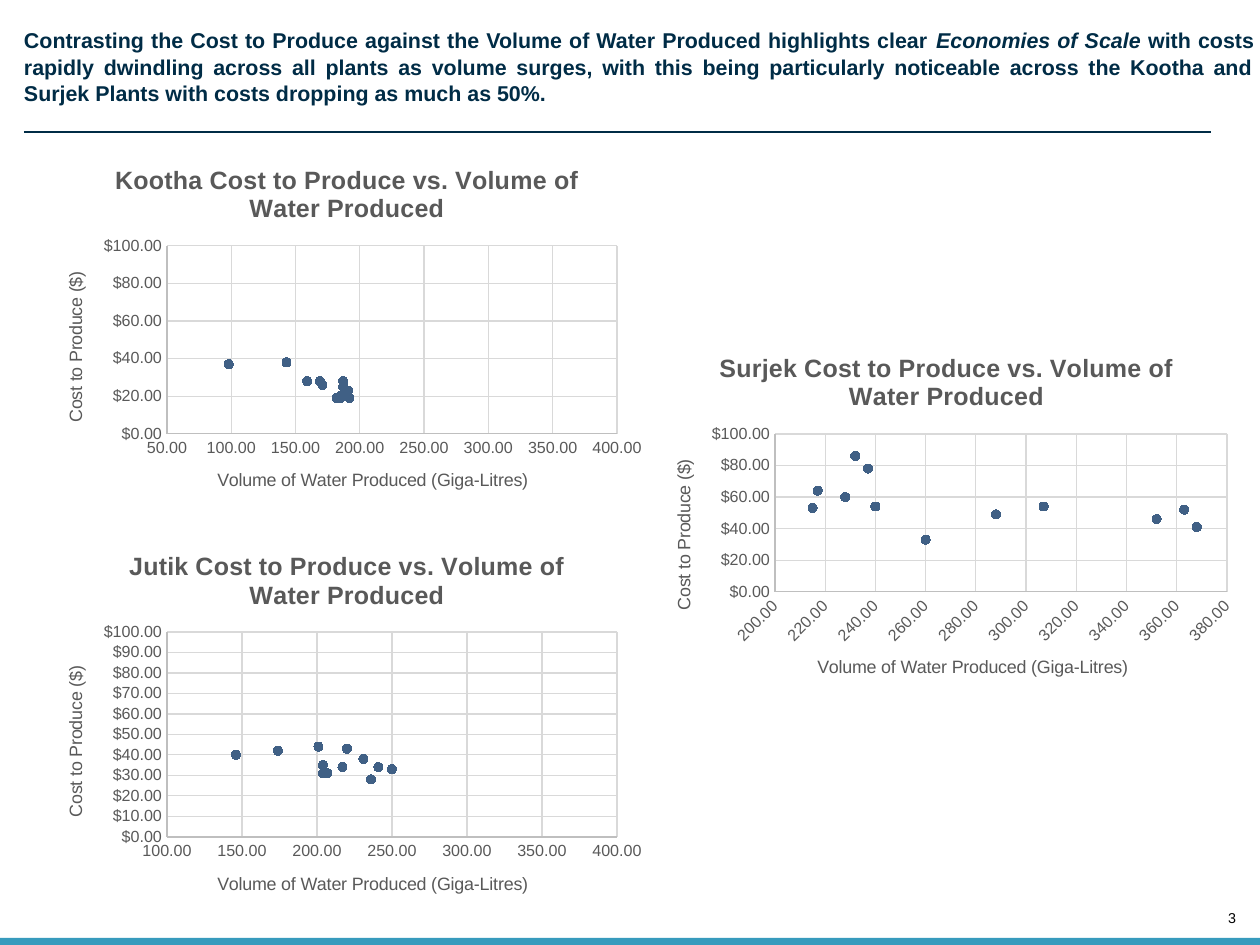
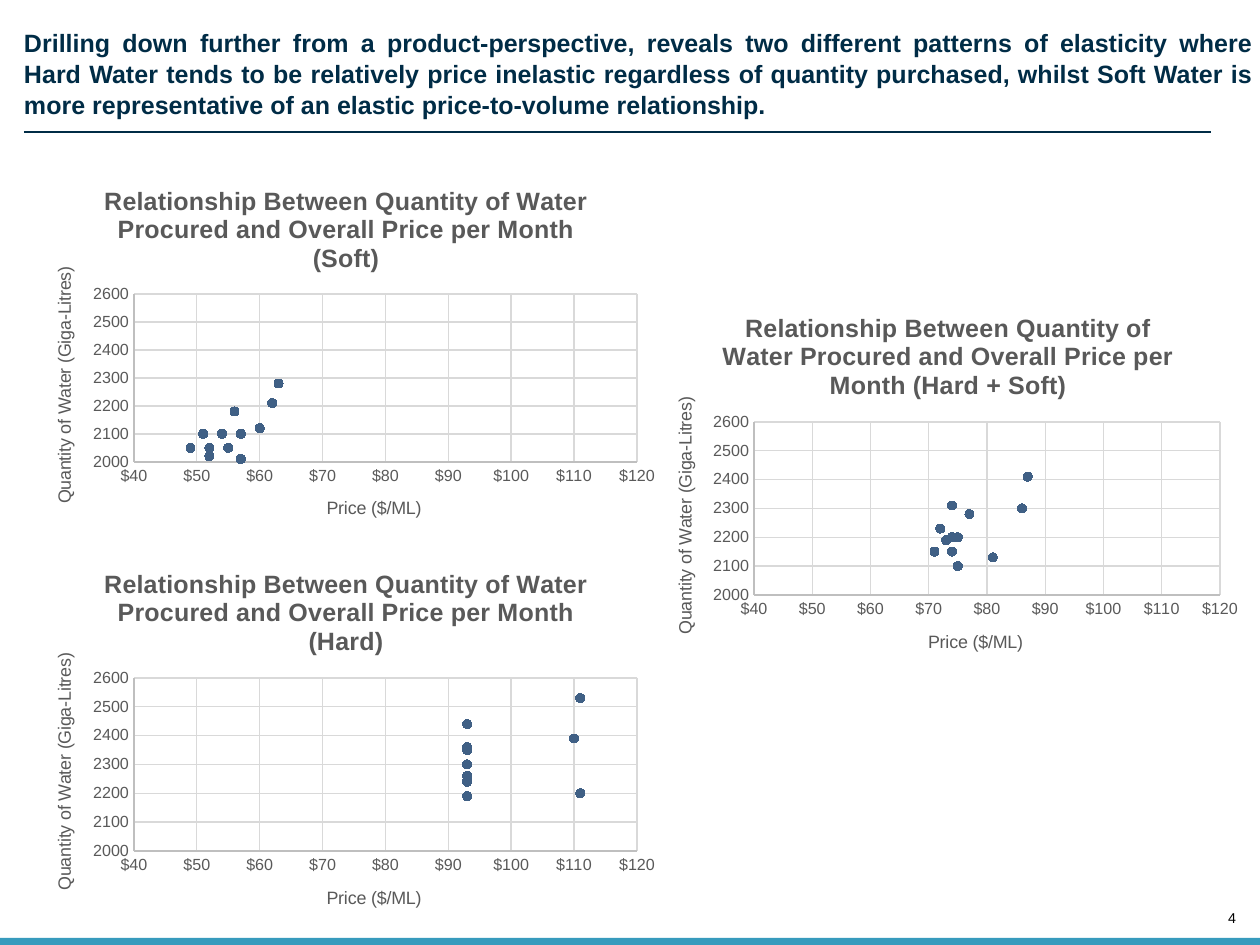
from dataclasses import dataclass

from lxml.etree import SubElement
from pptx import Presentation
from pptx.chart.data import XyChartData
from pptx.dml.color import RGBColor
from pptx.enum.chart import XL_CHART_TYPE as ChartType
from pptx.enum.chart import XL_MARKER_STYLE as Marker
from pptx.enum.chart import XL_TICK_MARK as TickMark
from pptx.enum.shapes import MSO_CONNECTOR as Connector
from pptx.enum.shapes import MSO_SHAPE as Shape
from pptx.enum.text import MSO_ANCHOR as Anchor
from pptx.enum.text import PP_ALIGN as Align
from pptx.oxml.ns import qn
from pptx.util import Emu, Pt

EMU_PER_PIXEL = 7110
WIDTH, HEIGHT = 1260, 945
FONT = "Arial"
NAVY, TEAL, BLACK = "002C46", "379BBD", "000000"
GREY, AXIS_GREY, GRID_GREY, MARKER_BLUE = "595959", "BFBFBF", "D9D9D9", "406085"


@dataclass(frozen=True)
class Box:
    """A rectangle in pixels."""
    left: int
    top: int
    width: int
    height: int

    def emu(self) -> tuple:
        """Give the four lengths in EMU."""
        return tuple(px(n) for n in (self.left, self.top, self.width, self.height))


@dataclass(frozen=True)
class Scale:
    """Title, number format and range of an axis."""
    title: str
    number_format: str
    low: int
    high: int
    step: int
    rotation: int = 0


@dataclass(frozen=True)
class Scatter:
    """A scatter chart, with the box of its inner plot."""
    title: str
    frame: Box
    plot: Box
    x_scale: Scale
    y_scale: Scale
    x_values: tuple
    y_values: tuple


@dataclass(frozen=True)
class Page:
    """Heading lines of (text, italic) pieces, and the charts below them."""
    number: int
    heading: tuple
    heading_size: int
    charts: tuple


def px(pixels: int) -> Emu:
    """Turn pixels into EMU."""
    return Emu(pixels * EMU_PER_PIXEL)


def rgb(code: str) -> RGBColor:
    """Turn a hex string into a colour."""
    return RGBColor.from_string(code)


def style_font(font, size: float, color: str, bold=False, italic=False) -> None:
    """Set the look of a font."""
    font.name, font.size, font.bold, font.italic = FONT, Pt(size), bold, italic
    font.color.rgb = rgb(color)


def style_line(line, color: str) -> None:
    """Draw a thin line."""
    line.color.rgb = rgb(color)
    line.width = Pt(0.75)


def write_text(slide, lines: tuple, box: Box, *, size: float, color: str,
               bold=False, align=Align.LEFT, anchor=Anchor.TOP,
               wrap=True, spacing=1.0) -> None:
    """Write one paragraph whose lines are made of (text, italic) pieces."""
    frame = slide.shapes.add_textbox(*box.emu()).text_frame
    frame.margin_left = frame.margin_right = frame.margin_top = frame.margin_bottom = 0
    frame.word_wrap, frame.vertical_anchor = wrap, anchor
    paragraph = frame.paragraphs[0]
    paragraph.alignment, paragraph.line_spacing = align, spacing
    for index, pieces in enumerate(lines):
        if index:
            paragraph.add_line_break()
        for words, italic in pieces:
            run = paragraph.add_run()
            run.text = words
            style_font(run.font, size, color, bold, italic)


def style_title(owner, title: str, size: float, bold=False) -> None:
    """Write the title of a chart or an axis."""
    paragraph = owner.text_frame.paragraphs[0]
    run = paragraph.add_run()
    run.text = title
    style_font(run.font, size, GREY, bold)


def style_axis(axis, scale: Scale) -> None:
    """Set range, grid, labels and title of an axis."""
    axis.minimum_scale, axis.maximum_scale = scale.low, scale.high
    axis.major_unit = scale.step
    axis.major_tick_mark = axis.minor_tick_mark = TickMark.NONE
    axis.has_major_gridlines = True
    style_line(axis.major_gridlines.format.line, GRID_GREY)
    style_line(axis.format.line, AXIS_GREY)
    labels = axis.tick_labels
    labels.number_format, labels.number_format_is_linked = scale.number_format, False
    style_font(labels.font, 9, GREY)
    if scale.rotation:
        body = axis._element.find(qn("c:txPr")).find(qn("a:bodyPr"))
        body.set("rot", str(scale.rotation * 60000))
    style_title(axis.axis_title, scale.title, 10)


def place_plot(chart, frame: Box, plot: Box) -> None:
    """Fix the inner plot area within the chart frame."""
    area = chart.element.find(".//" + qn("c:plotArea"))
    layout = area.find(qn("c:layout"))
    if layout is None:
        layout = SubElement(area, qn("c:layout"))
        area.insert(0, layout)
    manual = SubElement(layout, qn("c:manualLayout"))
    settings = {
        "layoutTarget": "inner", "xMode": "edge", "yMode": "edge",
        "x": round((plot.left - frame.left) / frame.width, 4),
        "y": round((plot.top - frame.top) / frame.height, 4),
        "w": round(plot.width / frame.width, 4),
        "h": round(plot.height / frame.height, 4),
    }
    for tag, value in settings.items():
        SubElement(manual, qn(f"c:{tag}")).set("val", str(value))


def draw_scatter(slide, scatter: Scatter) -> None:
    """Draw a scatter chart."""
    data = XyChartData()
    points = data.add_series("Series 1")
    for x, y in zip(scatter.x_values, scatter.y_values):
        points.add_data_point(x, y)
    chart = slide.shapes.add_chart(ChartType.XY_SCATTER, *scatter.frame.emu(), data).chart
    style_font(chart.font, 10, BLACK)
    chart.has_legend = False
    style_title(chart.chart_title, scatter.title, 14, bold=True)
    style_axis(chart.category_axis, scatter.x_scale)
    style_axis(chart.value_axis, scatter.y_scale)
    place_plot(chart, scatter.frame, scatter.plot)
    chart.plots[0].vary_by_categories = False
    series = chart.plots[0].series[0]
    series.format.line.fill.background()
    series.marker.style, series.marker.size = Marker.CIRCLE, 5
    series.marker.format.fill.solid()
    series.marker.format.fill.fore_color.rgb = rgb(MARKER_BLUE)
    style_line(series.marker.format.line, MARKER_BLUE)


def draw_page(deck, page: Page) -> None:
    """Draw a slide with its heading, rule, charts and footer."""
    slide = deck.slides.add_slide(deck.slide_layouts[6])
    write_text(slide, (((str(page.number), False),),), Box(1218, 909, 18, 17), size=8,
               color=BLACK, align=Align.RIGHT, anchor=Anchor.BOTTOM, wrap=False)
    band = slide.shapes.add_shape(Shape.RECTANGLE, *Box(0, 938, WIDTH, 7).emu())
    band.shadow.inherit = False
    band.fill.solid()
    band.fill.fore_color.rgb = rgb(TEAL)
    band.line.fill.background()
    write_text(slide, page.heading, Box(24, 26, 1230, 90), size=page.heading_size,
               color=NAVY, bold=True, align=Align.JUSTIFY, spacing=1.04)
    rule = slide.shapes.add_connector(Connector.STRAIGHT, px(24), px(132), px(1211), px(132))
    style_line(rule.line, NAVY)
    SubElement(rule._element.spPr, qn("a:effectLst"))
    for scatter in page.charts:
        draw_scatter(slide, scatter)


def volume(low: int, high: int, step: int, rotation=0) -> Scale:
    """Give a scale for the volume of water."""
    return Scale("Volume of Water Produced (Giga-Litres)", "#,##0.00", low, high, step, rotation)


def cost(step: int) -> Scale:
    """Give a scale for the cost to produce."""
    return Scale("Cost to Produce ($)", '"$"#,##0.00', 0, 100, step)


def plant_title(plant: str) -> str:
    """Give the chart title of a plant."""
    return f"{plant} Cost to Produce vs. Volume of Water Produced"


def product_title(product: str) -> str:
    """Give the chart title of a product."""
    return ("Relationship Between Quantity of Water Procured and "
            f"Overall Price per Month ({product})")


PRICE = Scale("Price ($/ML)", '"$"#,##0', 40, 120, 10)
QUANTITY = Scale("Quantity of Water (Giga-Litres)", "0", 2000, 2600, 100)

PLANTS = (
    Scatter(plant_title("Kootha"), Box(39, 145, 616, 372), Box(167, 246, 450, 188),
            volume(50, 400, 50), cost(20),
            (182, 187, 185, 192, 98, 185, 187, 159, 191, 171, 169, 143),
            (19, 25, 20, 19, 37, 19, 28, 28, 23, 26, 28, 38)),
    Scatter(plant_title("Surjek"), Box(647, 333, 599, 372), Box(775, 434, 452, 158),
            volume(200, 380, 20, rotation=-45), cost(20),
            (215, 228, 217, 237, 232, 240, 288, 307, 368, 352, 363, 260),
            (53, 60, 64, 78, 86, 54, 49, 54, 41, 46, 52, 33)),
    Scatter(plant_title("Jutik"), Box(39, 531, 616, 390), Box(167, 632, 450, 205),
            volume(100, 400, 50), cost(10),
            (250, 207, 201, 174, 204, 146, 204, 217, 231, 236, 241, 220),
            (33, 31, 44, 42, 31, 40, 35, 34, 38, 28, 34, 43)),
)
PRODUCTS = (
    Scatter(product_title("Hard + Soft"), Box(646, 293, 604, 386), Box(754, 422, 466, 173),
            PRICE, QUANTITY,
            (86, 87, 81, 73, 71, 72, 77, 75, 74, 75, 74, 74),
            (2300, 2410, 2130, 2190, 2150, 2230, 2280, 2200, 2150, 2100, 2200, 2310)),
    Scatter(product_title("Hard"), Box(24, 549, 644, 386), Box(134, 678, 503, 173),
            PRICE, QUANTITY,
            (110, 111, 111, 93, 93, 93, 93, 93, 93, 93, 93, 93),
            (2390, 2530, 2200, 2350, 2240, 2360, 2440, 2300, 2260, 2190, 2300, 2440)),
    Scatter(product_title("Soft"), Box(24, 166, 644, 381), Box(134, 294, 503, 168),
            PRICE, QUANTITY,
            (62, 63, 52, 52, 49, 51, 60, 57, 55, 57, 54, 56),
            (2210, 2280, 2050, 2020, 2050, 2100, 2120, 2100, 2050, 2010, 2100, 2180)),
)
ECONOMIES = ((
    ("Contrasting the Cost to Produce against the Volume of Water Produced "
     "highlights clear ", False),
    ("Economies of Scale ", True),
    ("with costs rapidly dwindling across all plants as volume surges, with this being "
     "particularly noticeable across the Kootha and Surjek Plants with costs dropping "
     "as much as 50%.", False),
),)
ELASTICITY = (
    (("Drilling down further from a product-perspective, reveals two different "
      "patterns of elasticity where", False),),
    (("Hard Water tends to be relatively price inelastic regardless of quantity "
      "purchased, whilst Soft Water is more representative of an elastic "
      "price-to-volume relationship.", False),),
)
PAGES = (Page(3, ECONOMIES, 12, PLANTS), Page(4, ELASTICITY, 14, PRODUCTS))


def main() -> None:
    """Build and save the slides."""
    deck = Presentation()
    deck.slide_width, deck.slide_height = px(WIDTH), px(HEIGHT)
    for page in PAGES:
        draw_page(deck, page)
    deck.save("out.pptx")


main()
